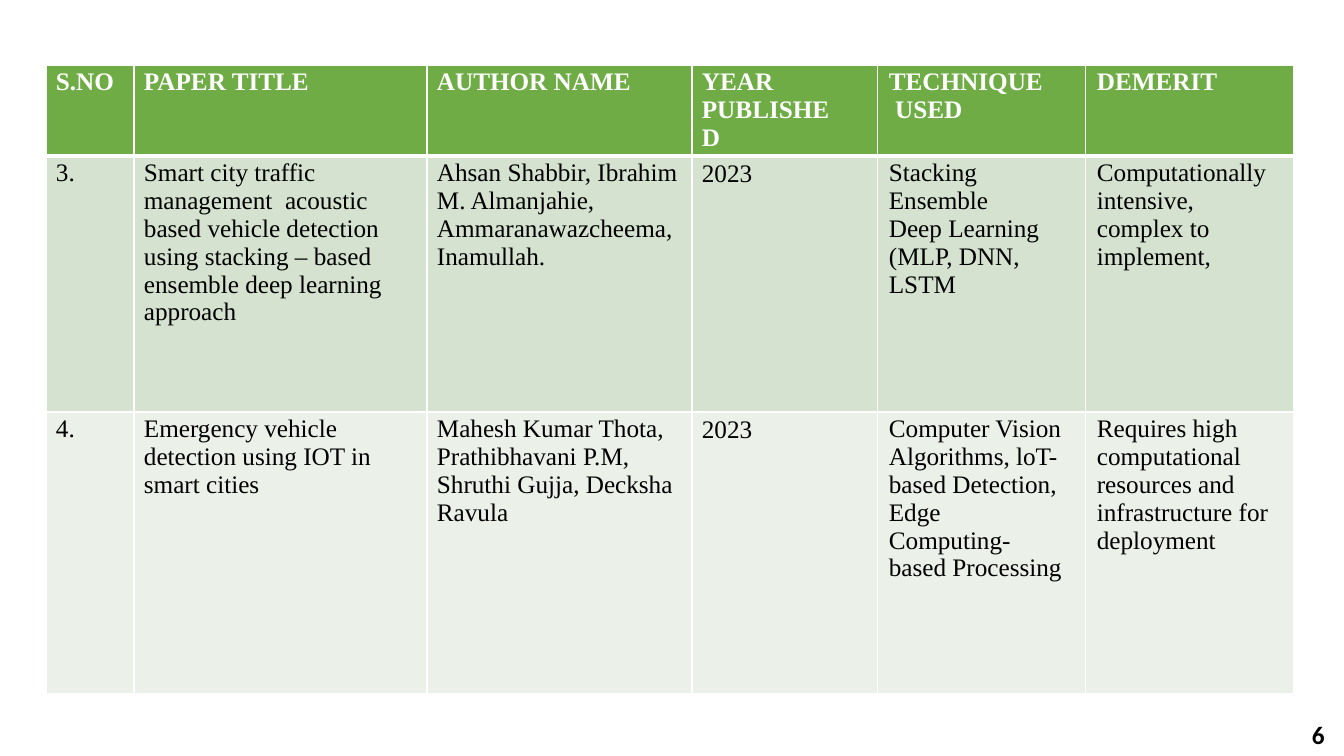
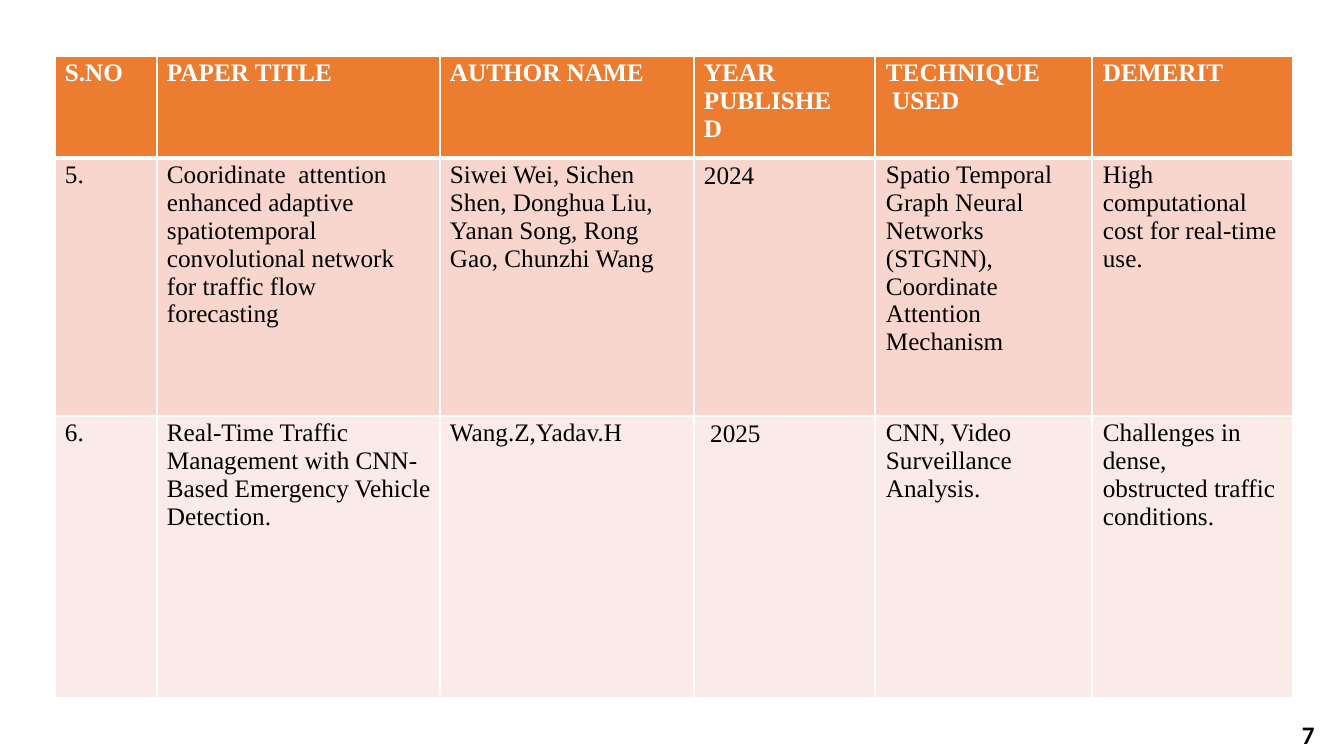
from lxml.etree import SubElement
from pptx import Presentation
from pptx.dml.color import RGBColor as RGB
from pptx.oxml.ns import qn
from pptx.util import Emu, Pt

WHITE = RGB(0xFF, 0xFF, 0xFF)
BLACK = RGB(0x00, 0x00, 0x00)
GREENS = (RGB(0x6F, 0xAC, 0x46), RGB(0xD4, 0xE2, 0xCF), RGB(0xEB, 0xF0, 0xE9))
ORANGES = (RGB(0xEC, 0x7C, 0x30), RGB(0xF8, 0xD6, 0xCD), RGB(0xFB, 0xEB, 0xE8))
TABLE_FONT = "Times New Roman"
NUMBER_FONT = "Calibri"
PX_PER_INCH = 100.8
YEAR_COLUMN = 3

HEADER = [
    ("S.NO", 0), ("PAPER TITLE", 0), ("AUTHOR NAME", 0),
    ("YEAR PUBLISHED", 36), ("TECHNIQUE\n USED", 0), ("DEMERIT", 0),
]

PAPERS_3_4 = [
    [("3.", 0),
     ("Smart city traffic management  acoustic based vehicle detection using "
      "stacking – based ensemble deep learning approach", 10),
     ("Ahsan Shabbir, Ibrahim M. Almanjahie, Ammaranawazcheema, Inamullah.", 0),
     ("2023", 0),
     ("Stacking Ensemble Deep Learning (MLP, DNN, LSTM", 43),
     ("Computationally intensive, complex to implement,", 18)],
    [("4.", 0),
     ("Emergency vehicle detection using IOT in smart cities", 10),
     ("Mahesh Kumar Thota, Prathibhavani P.M, Shruthi Gujja, Decksha Ravula", 0),
     ("2023", 0),
     ("Computer Vision Algorithms, loT-based Detection, Edge "
      "Computing-based Processing", 20),
     ("Requires high computational resources and infrastructure for deployment", 18)],
]

PAPERS_5_6 = [
    [("5.", 0),
     ("Cooridinate  attention enhanced adaptive spatiotemporal convolutional "
      "network for traffic flow forecasting", 25),
     ("Siwei Wei, Sichen Shen, Donghua Liu, Yanan Song, Rong Gao, Chunzhi Wang", 10),
     ("2024", 0),
     ("Spatio Temporal Graph Neural Networks (STGNN), Coordinate Attention "
      "Mechanism", 10),
     ("High computational cost for real-time use.", 10)],
    [("6.", 0),
     ("Real-Time Traffic Management with CNN-Based Emergency Vehicle Detection.", 0),
     ("Wang.Z,Yadav.H", 0),
     (" 2025", 0),
     ("CNN, Video Surveillance Analysis.", 10),
     ("Challenges in dense,\nobstructed traffic conditions.", 10)],
]


def px(n):
    """Turn pixels into EMU."""
    return Emu(round(n * 914400 / PX_PER_INCH))


def write(tf, text, font=TABLE_FONT, size=18, color=BLACK, bold=False,
          before=0, margins=(0, 0, 0, 0)):
    """Fill a text frame with one paragraph; newlines become line breaks."""
    p = tf.paragraphs[0]
    p.space_before = Pt(before)
    for i, line in enumerate(text.split("\n")):
        if i:
            p.add_line_break()
        r = p.add_run()
        r.text = line
        r.font.name = font
        r.font.size = Pt(size)
        r.font.bold = bold
        r.font.color.rgb = color
    tf.word_wrap = True
    tf.margin_left, tf.margin_top, tf.margin_right, tf.margin_bottom = map(px, margins)


def set_borders(cell, top, bottom):
    """Draw white cell borders ahead of the fill, with widths in points."""
    tc_pr = cell._tc.get_or_add_tcPr()
    sides = (("a:lnL", 1), ("a:lnR", 1), ("a:lnT", top), ("a:lnB", bottom))
    for i, (tag, width) in enumerate(sides):
        ln = SubElement(tc_pr, qn(tag), w=str(Pt(width)))
        fill = SubElement(ln, qn("a:solidFill"))
        SubElement(fill, qn("a:srgbClr"), val=str(WHITE))
        tc_pr.insert(i, ln)


def fill_cell(cell, row, col, text, right, color):
    """Format one cell of the papers table by its row and column."""
    is_header = row == 0
    is_year = col == YEAR_COLUMN and not is_header
    cell.fill.solid()
    cell.fill.fore_color.rgb = color
    set_borders(cell, top=3 if row == 1 else 1, bottom=3 if is_header else 1)
    write(cell.text_frame, text, color=WHITE if is_header else BLACK,
          bold=is_header, before=3 if is_year else 2.2)
    cell.margin_left = px(11 if col > YEAR_COLUMN else 10)
    cell.margin_top = px(4 if is_year else 3)
    cell.margin_right = px(right)
    cell.margin_bottom = 0


def add_papers_table(slide, left, top, widths, heights, papers, colors):
    """Place a table with a header row and one row for each paper."""
    rows = [HEADER] + papers
    frame = slide.shapes.add_table(len(rows), len(widths), px(left), px(top),
                                   px(sum(widths)), px(sum(heights)))
    table = frame.table
    table.horz_banding = False
    for column, width in zip(table.columns, widths):
        column.width = px(width)
    for i, (height, row, color) in enumerate(zip(heights, rows, colors)):
        table.rows[i].height = px(height)
        for j, (text, right) in enumerate(row):
            fill_cell(table.cell(i, j), i, j, text, right, color)


def add_page_number(slide, number, width, inset):
    """Place the page number in the bottom right corner."""
    sp = slide.shapes.add_textbox(px(1302), px(714), px(width), px(40))
    write(sp.text_frame, number, font=NUMBER_FONT, bold=True,
          margins=(inset, 5, 0, 5))


def add_papers_slide(prs, table, number):
    """Add a blank slide with a papers table and a page number."""
    slide = prs.slides.add_slide(prs.slide_layouts[6])
    add_papers_table(slide, **table)
    add_page_number(slide, **number)


def main():
    """Build and save the presentation."""
    prs = Presentation()
    prs.slide_width, prs.slide_height = px(1344), px(756)
    add_papers_slide(
        prs,
        dict(left=46, top=65, widths=(88, 293, 265, 186, 208, 208),
             heights=(91, 256, 282), papers=PAPERS_3_4, colors=GREENS),
        dict(number="6", width=25, inset=10))
    add_papers_slide(
        prs,
        dict(left=55, top=56, widths=(102, 283, 254, 181, 217, 201),
             heights=(102, 258, 282), papers=PAPERS_5_6, colors=ORANGES),
        dict(number="7", width=8, inset=0))
    prs.save("out.pptx")


if __name__ == "__main__":
    main()
